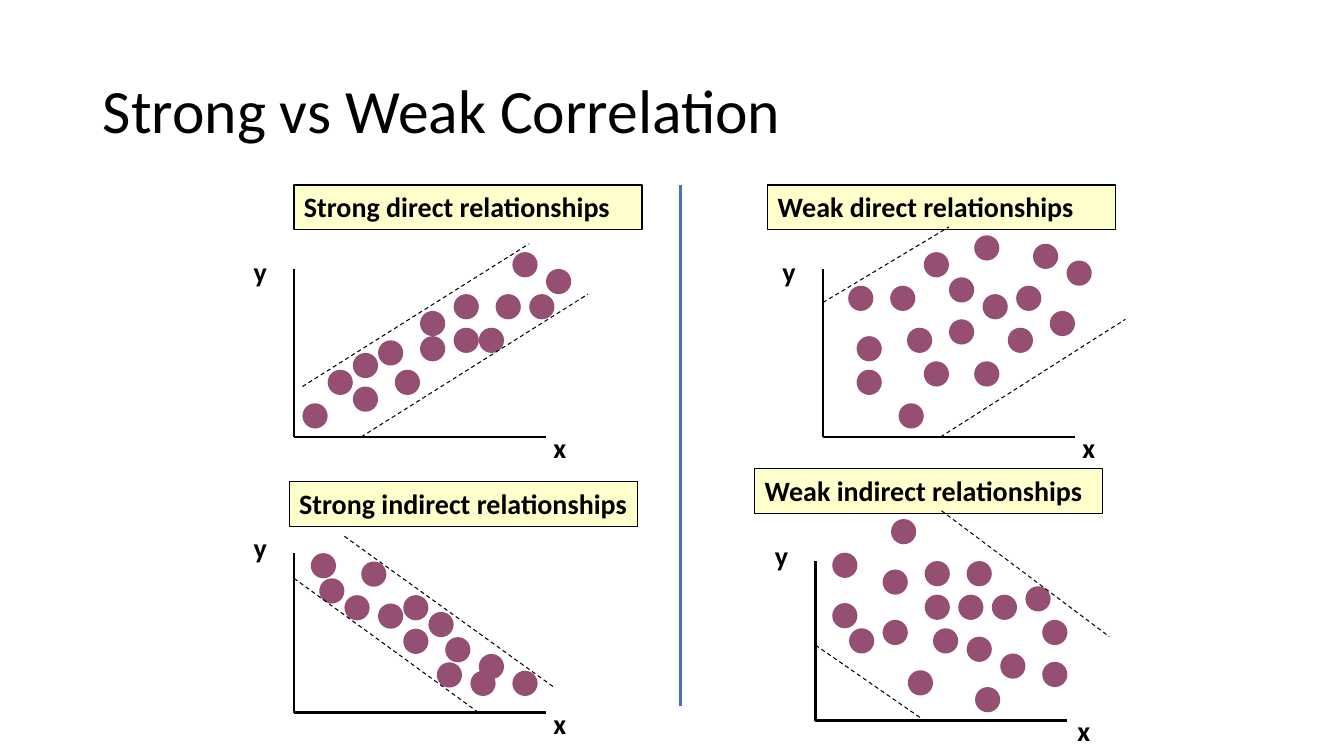
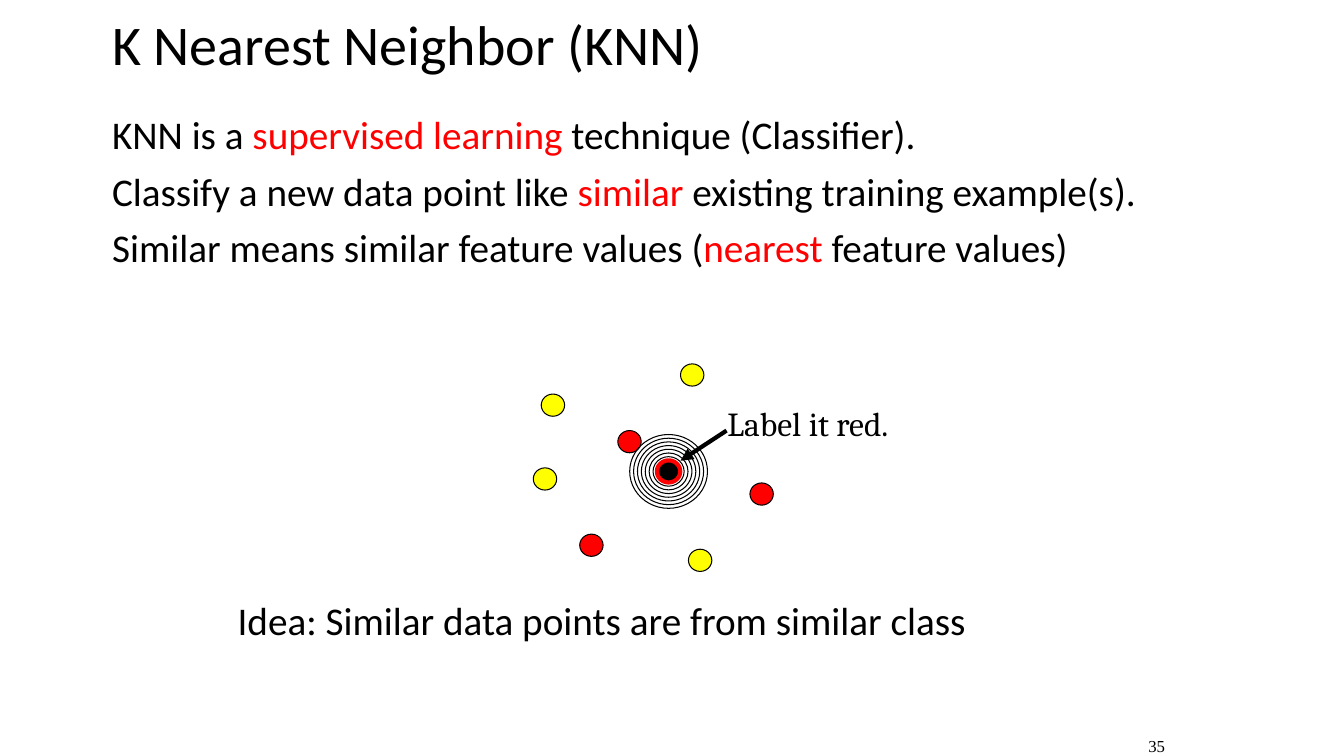
from lxml import etree
from pptx import Presentation
from pptx.dml.color import RGBColor
from pptx.enum.dml import MSO_LINE
from pptx.enum.shapes import MSO_CONNECTOR, MSO_SHAPE
from pptx.enum.text import MSO_ANCHOR, MSO_AUTO_SIZE, PP_ALIGN
from pptx.oxml.ns import qn
from pptx.util import Cm, Pt

STRAIGHT = MSO_CONNECTOR.STRAIGHT
RECTANGLE, OVAL = MSO_SHAPE.RECTANGLE, MSO_SHAPE.OVAL
DASH = MSO_LINE.DASH
LEFT, RIGHT = PP_ALIGN.LEFT, PP_ALIGN.RIGHT
TOP, MIDDLE = MSO_ANCHOR.TOP, MSO_ANCHOR.MIDDLE
NO_AUTOFIT = MSO_AUTO_SIZE.NONE

# Shared style
FONT = "Calibri"
BLACK, RED, YELLOW = "000000", "FF0000", "FFFF00"
CREAM, PLUM, BLUE = "FFFFCC", "954F72", "4472C4"
LINE_SPACING = 0.9

# Scatter plots: origins and boxes in cm, everything else in grid steps
# (right, up) from the origin; a dot is placed by its top left corner
STEP = 2.54 / 12
DOT_STEPS = 3
X_AXIS_STEPS = 30
HEADING_SIZE = (8.77, 1.13)
AXIS_LABEL_SIZE = (0.84, 1.12)
Y_LABEL = (-6, 22.3)
PLOTS = [
    {"heading": "Strong direct relationships", "heading_at": (7.41, 4.66),
     "origin": (7.41, 11.01), "y_axis": 20, "x_label": (29.7, 1.3),
     "band": [((1, 6), (28, 23)), ((8, 0), (35, 17))],
     "dots": [(1, 4), (4, 8), (26, 22), (28, 17), (7, 6), (30, 20), (19, 13),
              (19, 17), (24, 17), (15, 15), (7, 10), (10, 11.5), (22, 13),
              (15, 12), (12, 8)]},
    {"heading": "Weak direct relationships", "heading_at": (19.35, 4.66),
     "origin": (20.74, 11.01), "y_axis": 20, "x_label": (29.7, 1.3),
     "band": [((0, 16), (15, 25)), ((14, 0), (36, 14))],
     "dots": [(15, 19), (4, 8), (18, 9), (23, 18), (8, 18), (9, 4), (12, 9),
              (19, 17), (12, 22), (4, 12), (3, 18), (10, 13), (22, 13),
              (15, 14), (18, 24), (29, 21), (27, 15), (25, 23)]},
    {"heading": "Strong indirect relationships", "heading_at": (7.29, 12.14),
     "origin": (7.41, 17.96), "y_axis": 19, "x_label": (29.7, 1.3),
     "band": [((6, 21), (31, 3)), ((0, 16), (22, 0))],
     "dots": [(21, 5), (3, 16), (26, 5), (8, 18), (18, 9), (22, 7), (13, 14),
              (2, 19), (6, 14), (10, 13), (17, 6), (16, 12), (13, 10)]},
    {"heading": "Weak indirect relationships", "heading_at": (19.02, 11.81),
     "origin": (20.55, 18.16), "y_axis": 19, "x_label": (30, 1.4),
     "band": [((15, 25), (35, 10)), ((0, 9), (13, 0))],
     "dots": [(2, 14), (2, 20), (8, 12), (19, 4), (4, 11), (13, 19), (18, 10),
              (17, 15), (13, 15), (8, 18), (21, 15), (14, 11), (11, 6),
              (22, 8), (27, 12), (25, 16), (27, 7), (18, 19), (9, 24)]},
]

# Nearest neighbour content: text parts with their colours, places in cm
KNN_POINTS = [
    [("KNN is a ", BLACK), ("supervised learning ", RED),
     ("technique (Classifier).", BLACK)],
    [("Classify a new data point like ", BLACK), ("similar", RED),
     (" existing training example(s).", BLACK)],
    [("Similar means similar feature values (", BLACK), ("nearest ", RED),
     ("feature values)", BLACK)],
]
NEIGHBOURS = [
    (13.64, 9.93, YELLOW), (14.61, 13.46, RED), (17.15, 9.17, YELLOW),
    (13.44, 11.79, YELLOW), (18.9, 12.17, RED), (15.57, 10.85, RED),
    (17.35, 13.84, YELLOW),
]
NEIGHBOUR_SIZE = (0.59, 0.56)
NEW_POINT = (16.85, 11.88)
OUTER_RING = (1.96, 1.86)
RING_TENTHS = range(10, 3, -1)


def rgb(hex_string):
    return RGBColor.from_string(hex_string)


def box(left, top, width, height):
    return Cm(left), Cm(top), Cm(width), Cm(height)


def style_font(font, size, color=BLACK, bold=False, name=FONT):
    font.name, font.size, font.bold = name, Pt(size), bold
    font.color.rgb = rgb(color)


def indent(paragraph, left):
    """Remove the bullet and start every line at the same indent."""
    properties = paragraph._p.get_or_add_pPr()
    properties.set("marL", str(Cm(left)))
    properties.set("indent", "0")
    etree.SubElement(properties, qn("a:buNone"))


def add_line(shapes, start, end, width, color=BLACK, dash=None):
    line = shapes.add_connector(STRAIGHT, *(Cm(v) for v in (*start, *end)))
    line.line.color.rgb = rgb(color)
    line.line.width = Pt(width)
    if dash:
        line.line.dash_style = dash
    etree.SubElement(line._element.spPr, qn("a:effectLst"))
    return line


def add_form(shapes, kind, area, fill=None, line=None, width=0.75):
    form = shapes.add_shape(kind, *box(*area))
    form.shadow.inherit = False
    if fill:
        form.fill.solid()
        form.fill.fore_color.rgb = rgb(fill)
    else:
        form.fill.background()
    if line:
        form.line.color.rgb = rgb(line)
        form.line.width = Pt(width)
    else:
        form.line.fill.background()
    return form


def add_text(shapes, text, area, size, wrap=False, **font):
    text_box = shapes.add_textbox(*box(*area))
    text_box.text_frame.word_wrap = wrap
    paragraph = text_box.text_frame.paragraphs[0]
    paragraph.text = text
    style_font(paragraph.runs[0].font, size, **font)
    return paragraph


def set_title(slide, text, area, size):
    title = slide.shapes.title
    title.left, title.top, title.width, title.height = box(*area)
    frame = title.text_frame
    frame.text = text
    frame.auto_size, frame.vertical_anchor = NO_AUTOFIT, MIDDLE
    paragraph = frame.paragraphs[0]
    paragraph.alignment, paragraph.line_spacing = LEFT, LINE_SPACING
    style_font(paragraph.runs[0].font, size)


def add_plot(slide, plot):
    heading = add_form(slide.shapes, RECTANGLE,
                       (*plot["heading_at"], *HEADING_SIZE), CREAM, BLACK, 1)
    frame = heading.text_frame
    frame.text = plot["heading"]
    frame.word_wrap, frame.vertical_anchor = True, TOP
    frame.paragraphs[0].alignment = LEFT
    style_font(frame.paragraphs[0].runs[0].font, 20, bold=True)

    def place(right, up):
        x, y = plot["origin"]
        return x + right * STEP, y - up * STEP

    shapes = slide.shapes.add_group_shape().shapes
    # Axes and their labels
    for axis_end in ((0, plot["y_axis"]), (X_AXIS_STEPS, 0)):
        add_line(shapes, place(0, 0), place(*axis_end), 2)
    for label, spot in (("y", Y_LABEL), ("x", plot["x_label"])):
        add_text(shapes, label, (*place(*spot), *AXIS_LABEL_SIZE), 20, bold=True)
    # Data points within the dashed band
    diameter = DOT_STEPS * STEP
    for dot in plot["dots"]:
        add_form(shapes, OVAL, (*place(*dot), diameter, diameter), PLUM)
    for start, end in plot["band"]:
        add_line(shapes, place(*start), place(*end), 0.75, dash=DASH)


def build_correlation(deck):
    slide = deck.slides.add_slide(deck.slide_layouts[5])
    set_title(slide, "Strong vs Weak Correlation", (2.34, 1.02, 29.21, 3.68), 44)
    add_line(slide.shapes, (17.15, 4.66), (17.15, 17.78), 2.25, BLUE)
    for plot in PLOTS:
        add_plot(slide, plot)


def add_neighbour_diagram(slide):
    shapes = slide.shapes.add_group_shape().shapes
    for left, top, color in NEIGHBOURS:
        add_form(shapes, OVAL, (left, top, *NEIGHBOUR_SIZE), color, BLACK)

    # Rings shrink evenly towards the new point
    def ring_area(tenths):
        width, height = (side * tenths / 10 for side in OUTER_RING)
        return NEW_POINT[0] - width / 2, NEW_POINT[1] - height / 2, width, height

    for tenths in RING_TENTHS:
        add_form(shapes, OVAL, ring_area(tenths), line=BLACK)
    add_form(shapes, OVAL, ring_area(3), BLACK, RED, 3)

    # Label with its arrow
    add_text(shapes, "Label it red.", (18.08, 10.03, 4.65, 1.12), 24, name="Cambria")
    arrow = add_line(shapes, (18.31, 10.85), (17.15, 11.61), 3)
    etree.SubElement(arrow.line._get_or_add_ln(), qn("a:tailEnd"), type="triangle")


def build_knn(deck):
    slide = deck.slides.add_slide(deck.slide_layouts[1])
    set_title(slide, "K Nearest Neighbor (KNN)", (2.57, 0.15, 25.4, 2.11), 40)

    # Key points
    body = slide.placeholders[1]
    body.left, body.top, body.width, body.height = box(2.57, 2.79, 29.87, 5.72)
    frame = body.text_frame
    frame.auto_size = NO_AUTOFIT
    for number, parts in enumerate(KNN_POINTS):
        paragraph = frame.add_paragraph() if number else frame.paragraphs[0]
        indent(paragraph, 0)
        paragraph.line_spacing = LINE_SPACING
        paragraph.space_before = Pt(10 if number else 0)
        for text, color in parts:
            run = paragraph.add_run()
            run.text = text
            style_font(run.font, 28, color)

    add_neighbour_diagram(slide)

    # Slide number and closing idea
    number = add_text(slide.shapes, "35", (24.33, 18.42, 5.28, 0.63), 12,
                      wrap=True, name="Times New Roman")
    number.alignment = RIGHT
    idea = add_text(slide.shapes, "Idea: Similar data points are from similar class",
                    (4.47, 15.04, 26.85, 3.48), 28, wrap=True)
    idea.level = 1
    indent(idea, 1.27)
    idea.line_spacing = LINE_SPACING


def main():
    deck = Presentation()
    deck.slide_width, deck.slide_height = Cm(33.87), Cm(19.05)
    build_correlation(deck)
    build_knn(deck)
    deck.save("out.pptx")


if __name__ == "__main__":
    main()
